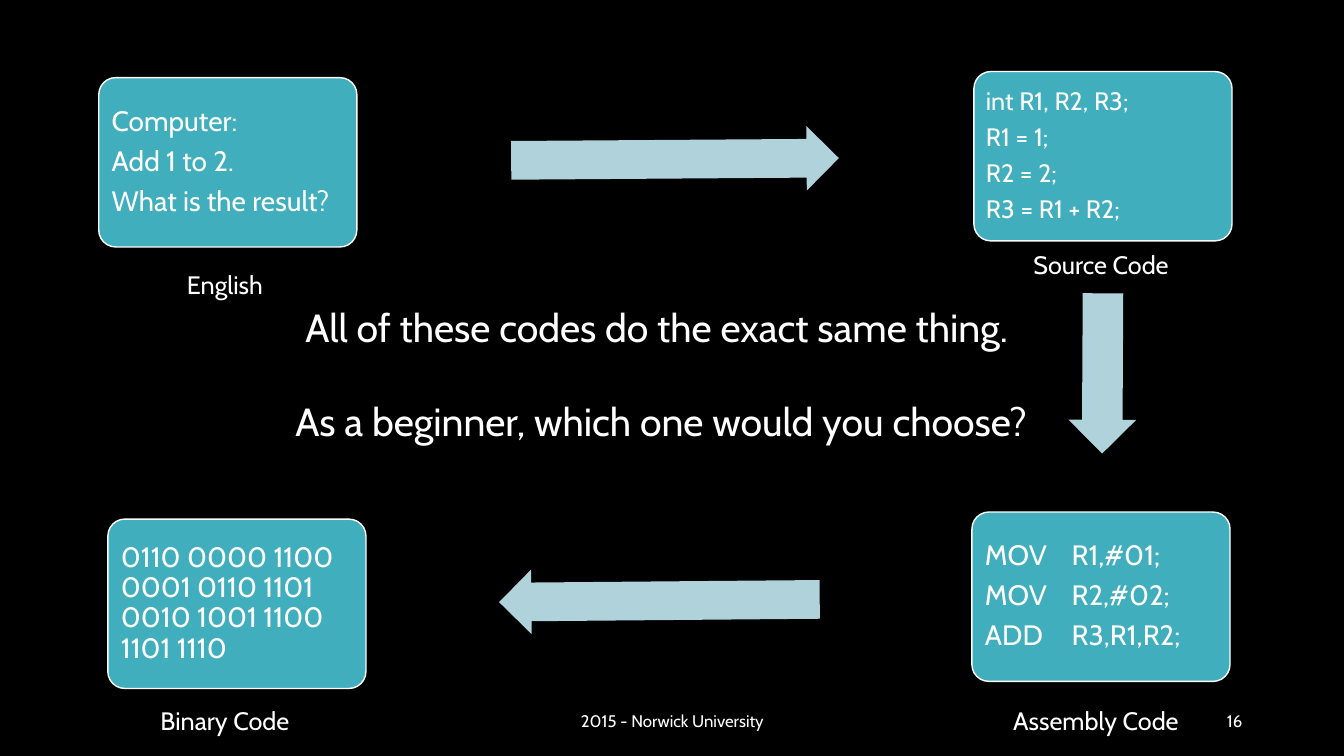
from dataclasses import dataclass

from lxml import etree
from pptx import Presentation
from pptx.dml.color import RGBColor
from pptx.enum.shapes import MSO_SHAPE
from pptx.enum.text import MSO_ANCHOR, PP_ALIGN
from pptx.oxml.ns import qn
from pptx.util import Inches, Pt

COLORS = {"background": "000000", "card": "41AEBD", "arrow": "B0D3DB", "white": "FFFFFF"}
FONT = "Cabin"
CARD_WIDTH, CARD_HEIGHT = 2.56, 1.68
LABEL_WIDTH, LABEL_HEIGHT = 2.62, 0.4
FOOTER_TOP, FOOTER_HEIGHT = 6.95, 0.4


@dataclass(frozen=True)
class Card:
    """A rounded box holding one form of the program."""
    left: float
    top: float
    lines: tuple[str, ...]
    size: int = 20
    inset: float = 0.08
    tab_stop: float = 0


@dataclass(frozen=True)
class Arrow:
    """A block arrow leading to the next form."""
    left: float
    top: float
    width: float
    height: float
    rotation: float


@dataclass(frozen=True)
class Caption:
    """Free text on the slide."""
    left: float
    top: float
    lines: tuple[str, ...]
    width: float = LABEL_WIDTH
    height: float = LABEL_HEIGHT
    size: int = 18
    align: PP_ALIGN = PP_ALIGN.CENTER
    anchor: MSO_ANCHOR = MSO_ANCHOR.TOP
    gap: float = 0


CARDS = (
    Card(0.98, 0.77, ("Computer:", "Add 1 to 2.", "What is the result?")),
    Card(9.66, 0.71, ("int R1, R2, R3;", "R1 = 1;", "R2 = 2;", "R3 = R1 + R2;"), 18, 0.07),
    Card(9.64, 5.08, ("MOV\tR1,#01;", "MOV\tR2,#02;", "ADD\tR3,R1,R2;"), tab_stop=0.86),
    Card(1.07, 5.15, ("0110 0000 1100 0001 0110 1101 0010 1001 1100 1101 1110",)),
)
ARROWS = (
    Arrow(5.07, 1.26, 3.25, 0.64, 359.6),
    Arrow(10.14, 3.37, 1.59, 0.67, 90.3),
    Arrow(4.95, 5.64, 3.18, 0.64, 179.5),
)
CAPTIONS = (
    Caption(0.92, 2.62, ("English",)),
    Caption(9.61, 2.42, ("Source Code",)),
    Caption(9.56, FOOTER_TOP, ("Assembly Code",)),
    Caption(0.92, FOOTER_TOP, ("Binary Code",)),
    Caption(0.92, 2.96, ("All of these codes do the exact same thing. ",
                         "As a beginner, which one would you choose?"),
            11.27, 1.51, 28, gap=33.6),
    Caption(4.42, FOOTER_TOP, ("2015 - Norwick University",), 4.5, FOOTER_HEIGHT, 12,
            anchor=MSO_ANCHOR.MIDDLE),
    Caption(9.42, FOOTER_TOP, ("16",), 3, FOOTER_HEIGHT, 12, PP_ALIGN.RIGHT,
            MSO_ANCHOR.MIDDLE),
)


def rgb(name: str) -> RGBColor:
    """Look up a palette colour."""
    return RGBColor.from_string(COLORS[name])


def write_lines(frame, lines: tuple[str, ...], size: int, align: PP_ALIGN,
                anchor: MSO_ANCHOR) -> list:
    """Write one paragraph per line and return the paragraphs."""
    frame.word_wrap = True
    frame.vertical_anchor = anchor
    paragraphs = [frame.paragraphs[0]] + [frame.add_paragraph() for _ in lines[1:]]
    for paragraph, line in zip(paragraphs, lines):
        paragraph.alignment = align
        run = paragraph.add_run()
        run.text = line
        run.font.name = FONT
        run.font.size = Pt(size)
        run.font.color.rgb = rgb("white")
    return paragraphs


def add_tab_stop(paragraph, position: float) -> None:
    """Give a paragraph one left tab stop."""
    tabs = etree.SubElement(paragraph._p.get_or_add_pPr(), qn("a:tabLst"))
    etree.SubElement(tabs, qn("a:tab"), pos=str(Inches(position)), algn="l")


def add_card(slide, card: Card) -> None:
    """Draw a rounded box with its text."""
    shape = slide.shapes.add_shape(MSO_SHAPE.ROUNDED_RECTANGLE, Inches(card.left),
                                   Inches(card.top), Inches(CARD_WIDTH), Inches(CARD_HEIGHT))
    shape.adjustments[0] = 0.1
    shape.shadow.inherit = False
    shape.fill.solid()
    shape.fill.fore_color.rgb = rgb("card")
    shape.line.color.rgb = rgb("white")
    shape.line.width = Pt(1)
    frame = shape.text_frame
    frame.margin_left = frame.margin_right = Inches(card.inset)
    frame.margin_top = frame.margin_bottom = Inches(card.inset)
    for paragraph in write_lines(frame, card.lines, card.size, PP_ALIGN.LEFT, MSO_ANCHOR.MIDDLE):
        paragraph.line_spacing = 0.9
        paragraph.space_after = Pt(0.35 * card.size)
        if card.tab_stop:
            add_tab_stop(paragraph, card.tab_stop)


def add_arrow(slide, arrow: Arrow) -> None:
    """Draw a rotated block arrow."""
    shape = slide.shapes.add_shape(MSO_SHAPE.RIGHT_ARROW, Inches(arrow.left), Inches(arrow.top),
                                   Inches(arrow.width), Inches(arrow.height))
    shape.adjustments[0] = 0.6
    shape.adjustments[1] = 0.5
    shape.rotation = arrow.rotation
    shape.shadow.inherit = False
    shape.fill.solid()
    shape.fill.fore_color.rgb = rgb("arrow")
    shape.line.fill.background()


def add_caption(slide, caption: Caption) -> None:
    """Draw a text box, spacing its paragraphs by the caption's gap."""
    box = slide.shapes.add_textbox(Inches(caption.left), Inches(caption.top),
                                   Inches(caption.width), Inches(caption.height))
    paragraphs = write_lines(box.text_frame, caption.lines, caption.size, caption.align,
                             caption.anchor)
    for paragraph in paragraphs[1:]:
        paragraph.space_before = Pt(caption.gap)


def main() -> None:
    """Build and save the slide."""
    deck = Presentation()
    deck.slide_width, deck.slide_height = Inches(13.33), Inches(7.5)
    slide = deck.slides.add_slide(deck.slide_layouts[6])
    slide.background.fill.solid()
    slide.background.fill.fore_color.rgb = rgb("background")
    for card in CARDS:
        add_card(slide, card)
    for arrow in ARROWS:
        add_arrow(slide, arrow)
    for caption in CAPTIONS:
        add_caption(slide, caption)
    deck.save("out.pptx")


main()
